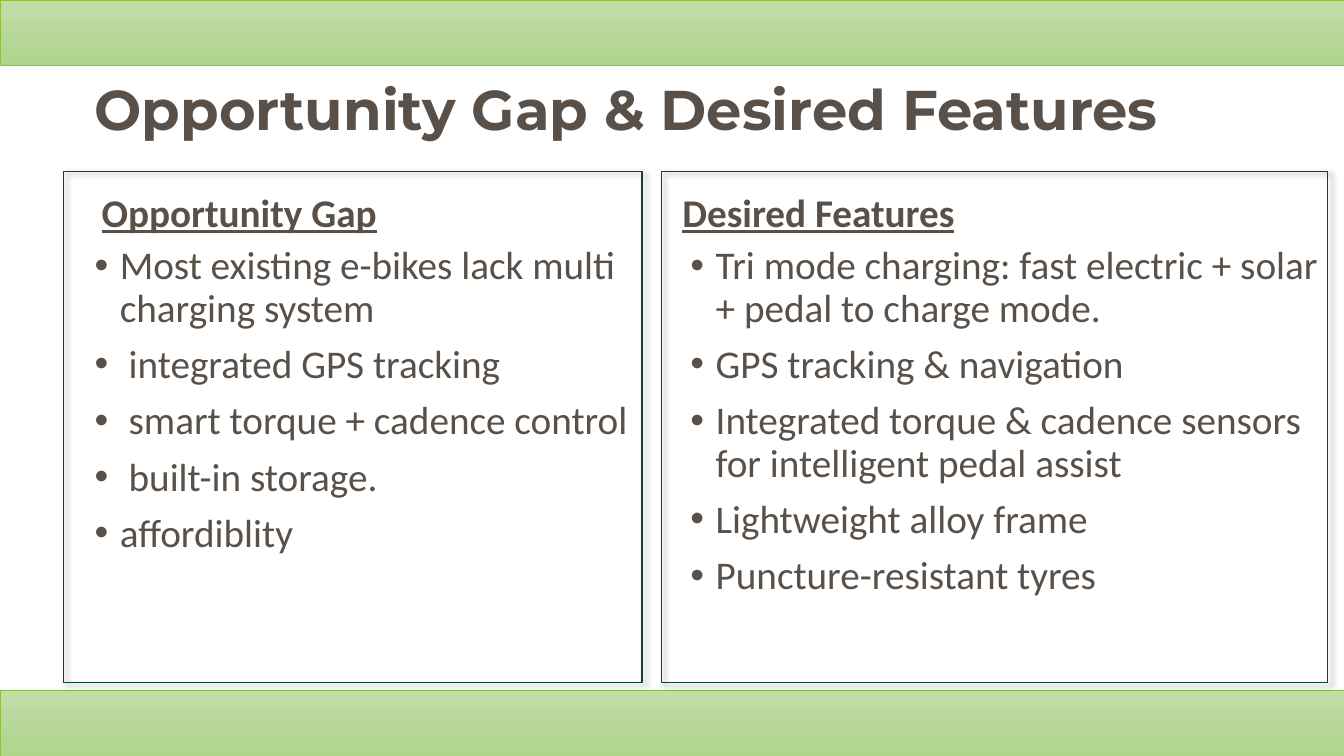
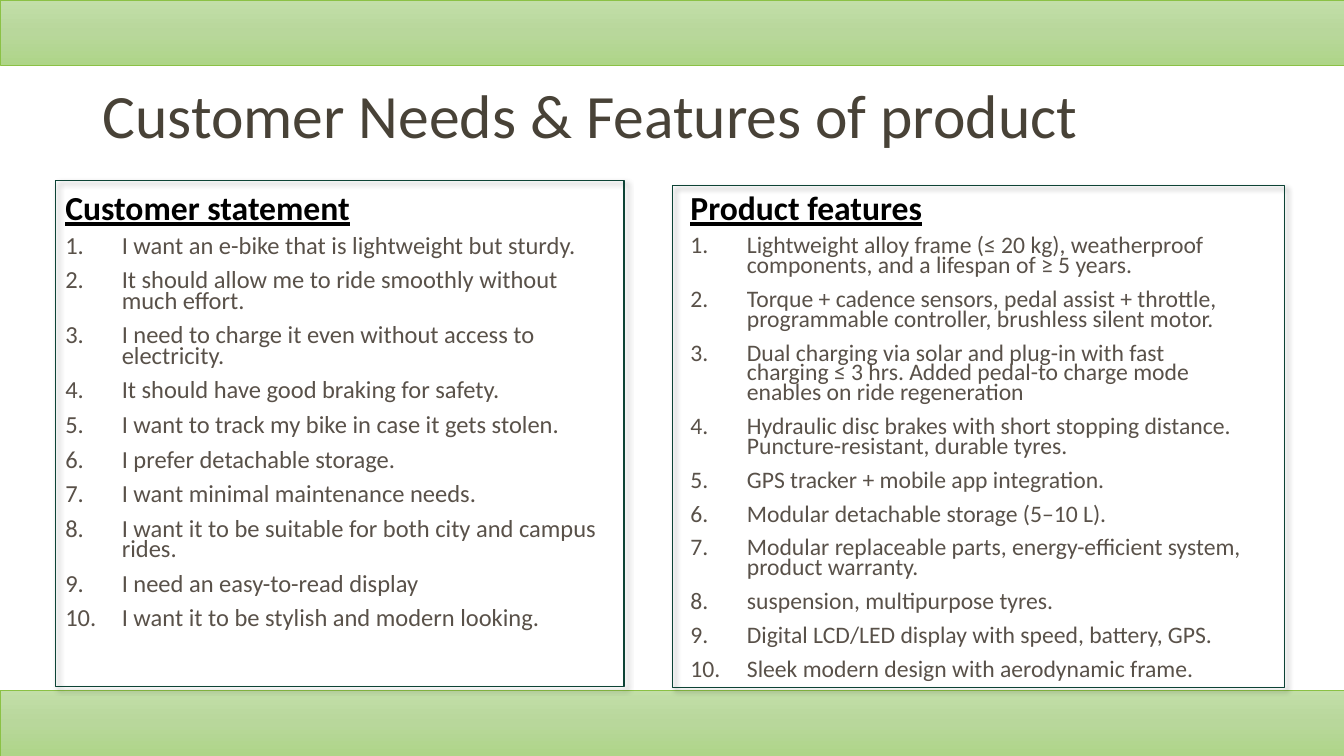
from copy import deepcopy
from dataclasses import dataclass

from lxml import etree
from pptx import Presentation
from pptx import util as u
from pptx.dml.color import RGBColor
from pptx.enum import shapes, text
from pptx.oxml import ns

Inches, Pt = u.Inches, u.Pt
WIDTH, HEIGHT = 13.33, 7.5


@dataclass(frozen=True)
class Theme:
    body_color: str = "595149"
    title_color: str = "484237"
    black: str = "000000"
    panel_line: str = "0D4335"
    band_line: str = "8BC145"
    band_stops: tuple = ((0, "C2DEA8"), (0.5, "B8D79B"), (1, "AED588"))
    font: str = "Calibri"
    display_font: str = "Montserrat"
    title_size: float = 44
    display_size: float = 40
    large_size: float = 28
    heading_size: float = 24
    statement_size: float = 17.5
    feature_size: float = 16.9
    band_height: float = 0.65


THEME = Theme()


def rgb(value):
    return RGBColor.from_string(value)


def add_child(parent, tag, **attributes):
    child = etree.SubElement(parent, ns.qn(tag))
    for name, value in attributes.items():
        child.set(name, str(value))
    return child


def add_bullet(paragraph, kind, indent):
    """Give a paragraph a hanging indent with a dot or a running number."""
    properties = paragraph._p.get_or_add_pPr()
    properties.set("marL", str(Inches(indent)))
    properties.set("indent", str(-Inches(indent)))
    if kind == "number":
        add_child(properties, "a:buFont", typeface="+mj-lt")
        add_child(properties, "a:buAutoNum", type="arabicPeriod")
    else:
        add_child(properties, "a:buFont", typeface="Arial")
        add_child(properties, "a:buChar", char="•")


def write_text(paragraph, content, *, size, color=THEME.body_color, font=THEME.font,
               bold=False, underline=False, spacing=0.9, before=0, bullet=None, indent=0):
    """Write one paragraph in the given format."""
    if bullet:
        add_bullet(paragraph, bullet, indent)
    paragraph.line_spacing = spacing
    paragraph.space_before = Pt(before)
    run = paragraph.add_run()
    run.text = content
    run.font.name, run.font.size = font, Pt(size)
    run.font.bold, run.font.underline = bold, underline
    run.font.color.rgb = rgb(color)


class Deck:
    def __init__(self, theme):
        self.theme = theme
        self.presentation = Presentation()
        self.presentation.slide_width = Inches(WIDTH)
        self.presentation.slide_height = Inches(HEIGHT)
        self.slide = None

    def new_slide(self):
        self.slide = self.presentation.slides.add_slide(self.presentation.slide_layouts[6])
        for top in (0, HEIGHT - self.theme.band_height):
            self.band(top)

    def rectangle(self, box, line, width):
        shape = self.slide.shapes.add_shape(
            shapes.MSO_SHAPE.RECTANGLE, *map(Inches, box))
        shape.shadow.inherit = False
        shape.line.color.rgb = rgb(line)
        shape.line.width = Pt(width)
        return shape

    def band(self, top):
        shape = self.rectangle((0, top, WIDTH, self.theme.band_height),
                               self.theme.band_line, 0.5)
        shape.fill.gradient()
        shape.fill.gradient_angle = 270
        # The default gradient has two stops; add the middle one
        stop_list = shape._element.spPr.find(".//" + ns.qn("a:gsLst"))
        stop_list.insert(1, deepcopy(stop_list[0]))
        for stop, (position, color) in zip(shape.fill.gradient_stops, self.theme.band_stops):
            stop.position = position
            stop.color.rgb = rgb(color)

    def panel(self, box):
        shape = self.rectangle(box, self.theme.panel_line, 1)
        shape.fill.background()
        effects = shape._element.spPr.find(ns.qn("a:effectLst"))
        shadow = add_child(effects, "a:outerShdw", blurRad=Pt(4), dist=Pt(3),
                           dir=45 * 60000, algn="tl", rotWithShape=0)
        color = add_child(shadow, "a:srgbClr", val=self.theme.black)
        add_child(color, "a:alpha", val=40000)

    def text_box(self, box, lines, anchor=text.MSO_ANCHOR.TOP, gap=0, **style):
        frame = self.slide.shapes.add_textbox(*map(Inches, box)).text_frame
        frame.word_wrap = True
        frame.vertical_anchor = anchor
        for index, line in enumerate(lines):
            paragraph = frame.add_paragraph() if index else frame.paragraphs[0]
            write_text(paragraph, line, before=gap if index else 0, **style)

    def title(self, box, content, **style):
        self.text_box(box, [content], text.MSO_ANCHOR.MIDDLE, **style)

    def heading(self, box, content, **style):
        self.text_box(box, [content], text.MSO_ANCHOR.BOTTOM,
                      bold=True, underline=True, **style)

    def bullets(self, box, items, size):
        self.text_box(box, items, gap=10, size=size, bullet="dot", indent=0.25)

    def numbers(self, box, items, size):
        self.text_box(box, items, gap=10, size=size, spacing=0.7,
                      bullet="number", indent=0.56)


def opportunity_slide(deck):
    theme = deck.theme
    deck.new_slide()
    deck.title((0.84, 0.39, 11.5, 1.45), "Opportunity Gap & Desired Features",
               size=theme.display_size, font=theme.display_font, bold=True)

    # Left panel
    deck.panel((0.63, 1.7, 5.74, 5.07))
    deck.heading((0.91, 1.84, 5.64, 0.55), "Opportunity Gap", size=theme.large_size)
    deck.bullets((0.84, 2.39, 5.56, 4.38), [
        "Most existing e-bikes lack multi charging system",
        " integrated GPS tracking",
        " smart torque + cadence control",
        " built-in storage.",
        "affordiblity",
    ], theme.large_size)

    # Right panel
    deck.panel((6.56, 1.7, 6.61, 5.07))
    deck.heading((6.67, 1.84, 5.67, 0.55), "Desired Features", size=theme.large_size)
    deck.bullets((6.75, 2.39, 6.42, 4.38), [
        "Tri mode charging: fast electric + solar + pedal to charge mode.",
        "GPS tracking & navigation",
        "Integrated torque & cadence sensors for intelligent pedal assist",
        "Lightweight alloy frame",
        "Puncture-resistant tyres",
    ], theme.large_size)


def needs_slide(deck):
    theme = deck.theme
    heading_style = {"size": theme.heading_size, "color": theme.black}
    deck.new_slide()
    deck.title((0.92, 0.73, 11.5, 0.9), "Customer Needs & Features of product",
               size=theme.title_size, color=theme.title_color)

    # Customer statements
    deck.panel((0.55, 1.79, 5.64, 5.02))
    deck.heading((0.55, 1.84, 5.64, 0.47), "Customer statement", **heading_style)
    deck.numbers((0.55, 2.31, 5.64, 4.46), [
        "I want an e-bike that is lightweight but sturdy.",
        "It should allow me to ride smoothly without much effort.",
        "I need to charge it even without access to electricity.",
        "It should have good braking for safety.",
        "I want to track my bike in case it gets stolen.",
        "I prefer detachable storage.",
        "I want minimal maintenance needs.",
        "I want it to be suitable for both city and campus rides.",
        "I need an easy-to-read display",
        "I want it to be stylish and modern looking.",
    ], theme.statement_size)

    # Product features
    deck.panel((6.67, 1.84, 6.07, 4.98))
    deck.heading((6.75, 1.84, 5.67, 0.47), "Product features", **heading_style)
    deck.numbers((6.75, 2.31, 5.67, 4.91), [
        "Lightweight alloy frame (≤ 20 kg), weatherproof components, "
        "and a lifespan of ≥ 5 years.",
        "Torque + cadence sensors, pedal assist + throttle, "
        "programmable controller, brushless silent motor.",
        "Dual charging via solar and plug-in with fast charging ≤ 3 hrs. "
        "Added pedal-to charge mode enables on ride regeneration",
        "Hydraulic disc brakes with short stopping distance. "
        "Puncture-resistant, durable tyres.",
        "GPS tracker + mobile app integration.",
        "Modular detachable storage (5–10 L).",
        "Modular replaceable parts, energy-efficient system, product warranty.",
        "suspension, multipurpose tyres.",
        "Digital LCD/LED display with speed, battery, GPS.",
        "Sleek modern design with aerodynamic frame.",
    ], theme.feature_size)


def main():
    deck = Deck(THEME)
    opportunity_slide(deck)
    needs_slide(deck)
    deck.presentation.save("out.pptx")


if __name__ == "__main__":
    main()
